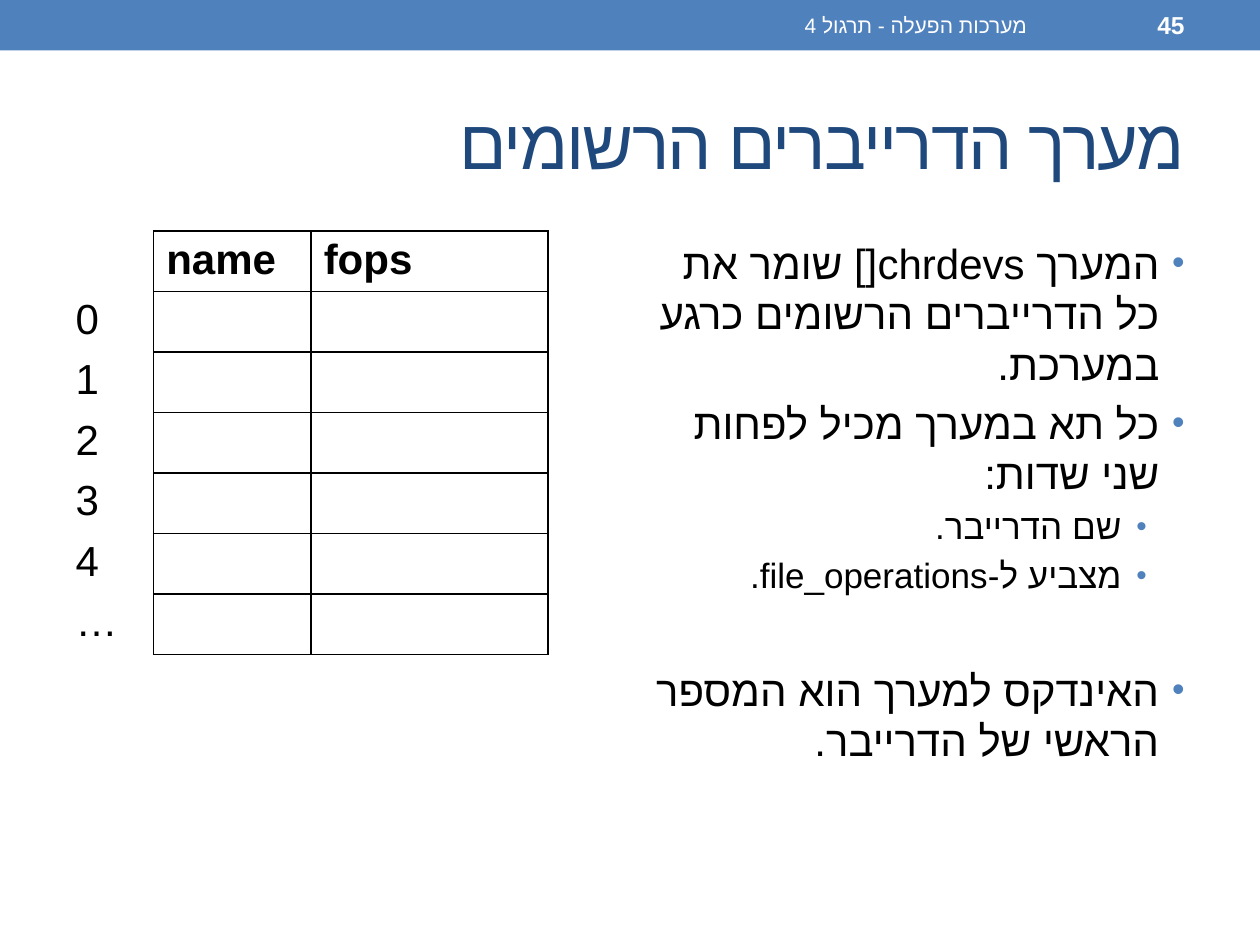
from collections import namedtuple
from pptx import Presentation
from pptx.dml.color import RGBColor
from pptx.enum.shapes import MSO_SHAPE
from pptx.enum.text import MSO_ANCHOR, MSO_AUTO_SIZE, PP_ALIGN
from pptx.oxml.ns import qn
from pptx.util import Inches, Pt
from lxml.etree import SubElement

HUES = {"band": "4F81BD", "title": "1F497D", "ink": "000000", "page": "FFFFFF"}
FONT = "Arial"
WIDE, HIGH = Inches(10), Inches(7.5)
COLS, ROWS = 120, 90
Box = namedtuple("Box", "x y w h")


def grid(x, y, w, h):
    col, row = WIDE / COLS, HIGH / ROWS
    return Box(int(x * col), int(y * row), int(w * col), int(h * row))


def color(name):
    return RGBColor.from_string(HUES[name])


def write(para, text, size, hue="ink", bold=False):
    run = para.add_run()
    run.text = text
    font = run.font
    font.name, font.size, font.bold = FONT, Pt(size), bold
    font.color.rgb = color(hue)
    SubElement(font._element, qn("a:cs"), typeface=FONT)
    return run


def flip(para):
    para.alignment = PP_ALIGN.RIGHT
    para._p.get_or_add_pPr().set("rtl", "1")


def text_box(slide, box, anchor):
    frame = slide.shapes.add_textbox(*box).text_frame
    frame.word_wrap = True
    frame.vertical_anchor = anchor
    return frame


def add_band(slide, box):
    bar = slide.shapes.add_shape(MSO_SHAPE.RECTANGLE, *box)
    bar.shadow.inherit = False
    bar.fill.solid()
    bar.fill.fore_color.rgb = color("band")
    bar.line.fill.background()
    unit = box.w // COLS
    labels = [
        (45, 54, "מערכות הפעלה - תרגול 4", 12, False),
        (100, 14, "45", 14, True),
    ]
    for x, w, text, size, bold in labels:
        spot = Box(box.x + x * unit, box.y + box.h // 20, w * unit, box.h * 9 // 10)
        para = text_box(slide, spot, MSO_ANCHOR.MIDDLE).paragraphs[0]
        flip(para)
        write(para, text, size, "page", bold)


def add_title(slide, box):
    title = slide.shapes.title
    title.left, title.top, title.width, title.height = box
    frame = title.text_frame
    frame.auto_size = MSO_AUTO_SIZE.NONE
    frame.vertical_anchor = MSO_ANCHOR.MIDDLE
    para = frame.paragraphs[0]
    flip(para)
    run = write(para, "מערך הדרייברים הרשומים", 40, "title")
    run.font._element.set("spc", "-100")


def edge(cell, sides):
    props = cell._tc.get_or_add_tcPr()
    for side in ("L", "R", "T", "B"):
        line = SubElement(props, qn("a:ln" + side), w=str(Pt(1)))
        if side in sides:
            fill = SubElement(line, qn("a:solidFill"))
            SubElement(fill, qn("a:srgbClr"), val=HUES["ink"])
        else:
            SubElement(line, qn("a:noFill"))


def add_array(slide, box):
    head = ["", "name", "fops"]
    marks = ["0", "1", "2", "3", "4", "…"]
    data = [head] + [[mark, "", ""] for mark in marks]
    shares = [72, 125, 188]
    table = slide.shapes.add_table(len(data), len(head), *box).table
    table.first_row = table.horz_banding = False
    for col, share in zip(table.columns, shares):
        col.width = box.w * share // sum(shares)
    for r, items in enumerate(data):
        table.rows[r].height = box.h // len(data)
        for c, text in enumerate(items):
            cell = table.cell(r, c)
            cell.margin_top = cell.margin_bottom = Inches(0.04)
            edge(cell, "LRTB" if c else "R")
            cell.fill.background()
            if text:
                write(cell.text_frame.paragraphs[0], text, 24, bold=r == 0)


def bullet(para, level):
    props = para._p.get_or_add_pPr()
    props.set("marL", str(Inches(0.5 if level else 0.2)))
    props.set("indent", str(Inches(-0.2)))
    tint = SubElement(props, qn("a:buClr"))
    SubElement(tint, qn("a:srgbClr"), val=HUES["band"])
    SubElement(props, qn("a:buSzPct"), val="85000")
    SubElement(props, qn("a:buFont"), typeface=FONT)
    SubElement(props, qn("a:buChar"), char="•")


def add_points(slide, box):
    points = [
        (0, 5, "המערך chrdevs[] שומר את כל הדרייברים הרשומים כרגע במערכת."),
        (0, 5, "כל תא במערך מכיל לפחות שני שדות:"),
        (1, 4, "שם הדרייבר."),
        (1, 4, "מצביע ל-file_operations."),
        (0, 39, "האינדקס למערך הוא המספר הראשי של הדרייבר."),
    ]
    frame = text_box(slide, box, MSO_ANCHOR.TOP)
    for i, (level, gap, text) in enumerate(points):
        para = frame.add_paragraph() if i else frame.paragraphs[0]
        flip(para)
        para.level = level
        para.space_before = Pt(gap)
        bullet(para, level)
        write(para, text, 20 if level else 24)


def main():
    deck = Presentation()
    deck.slide_width, deck.slide_height = WIDE, HIGH
    slide = deck.slides.add_slide(deck.slide_layouts[5])
    add_band(slide, grid(0, 0, COLS, 4.8))
    add_title(slide, grid(6, 7, 108, 13))
    add_array(slide, grid(6, 22, 46.2, 39.7))
    add_points(slide, grid(61, 22, 53, 62))
    deck.save("out.pptx")


if __name__ == "__main__":
    main()
